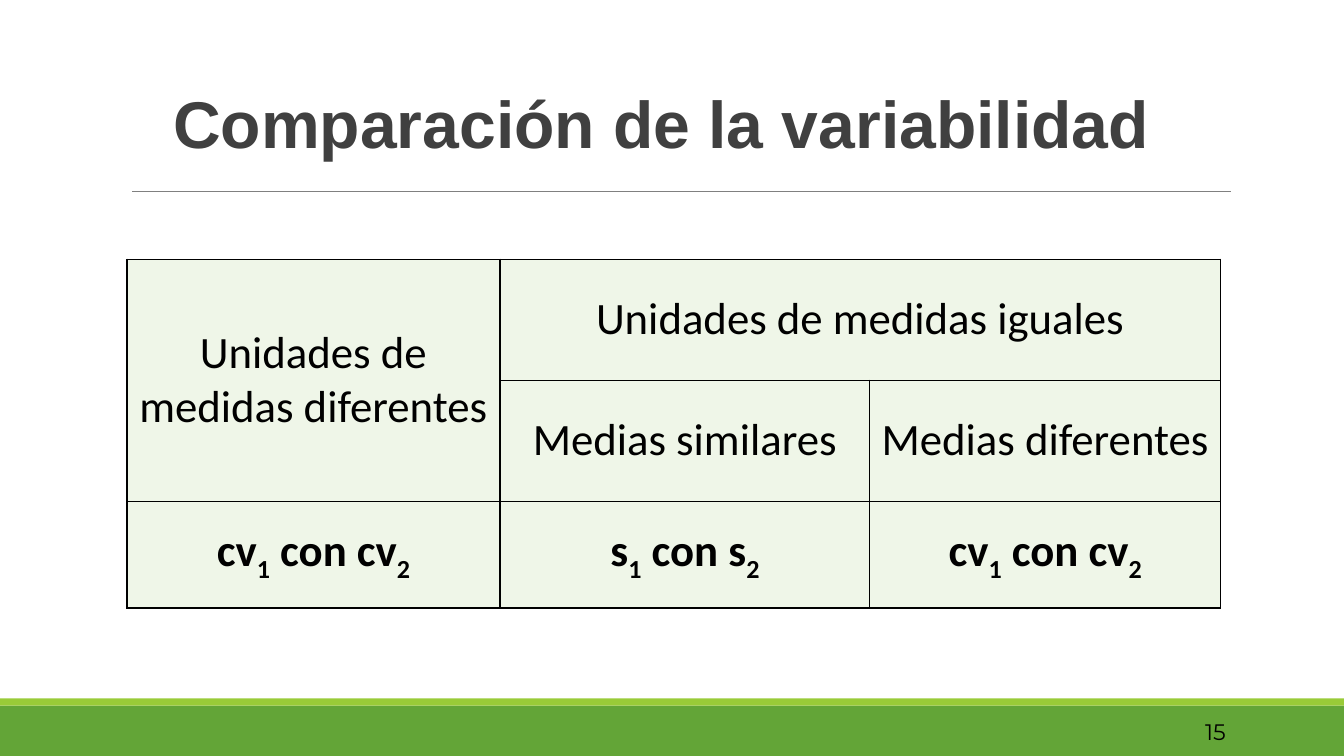
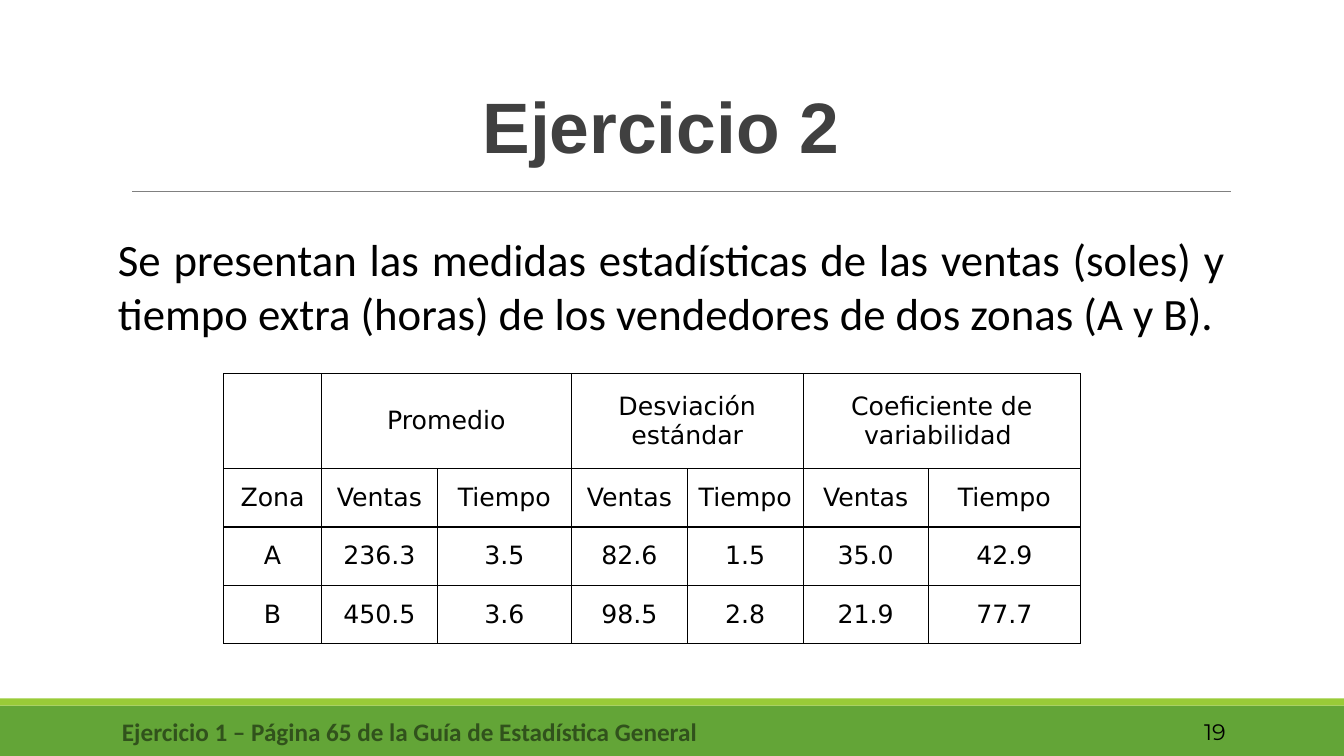
from lxml import etree
from pptx import Presentation
from pptx.dml.color import RGBColor
from pptx.enum.shapes import MSO_CONNECTOR, MSO_SHAPE
from pptx.enum.text import MSO_ANCHOR, PP_ALIGN
from pptx.oxml.ns import qn
from pptx.util import Cm, Pt

RECTANGLE, STRAIGHT = MSO_SHAPE.RECTANGLE, MSO_CONNECTOR.STRAIGHT
LEFT, CENTER, RIGHT, JUSTIFY = PP_ALIGN.LEFT, PP_ALIGN.CENTER, PP_ALIGN.RIGHT, PP_ALIGN.JUSTIFY
TOP, MIDDLE = MSO_ANCHOR.TOP, MSO_ANCHOR.MIDDLE

WIDTH, HEIGHT = 33.87, 19.05
GREEN, LIME, PALE, DARK_GREEN = "63A537", "99CB38", "EFF6E8", "31521C"
BLACK, INK, GRAY = "000000", "404040", "808080"
HEADING_FONT, BODY_FONT, DATA_FONT, NUMBER_FONT = "Arial", "Calibri", "DejaVu Sans", "Montserrat"
BODY_LEFT = 2.72
FOOTER_TOP, FOOTER_HEIGHT = 17.93, 1.02


def rgb(color):
    return RGBColor.from_string(color)


def write(frame, text, *, size, font=BODY_FONT, color=BLACK, bold=False, align=LEFT):
    """Fill a text frame; the character after each underscore is a subscript."""
    paragraph = frame.paragraphs[0]
    paragraph.alignment = align
    first, *rest = text.split("_")
    pieces = [(first, False)]
    for part in rest:
        pieces += [(part[0], True), (part[1:], False)]
    for piece, subscript in pieces:
        if not piece:
            continue
        run = paragraph.add_run()
        run.text = piece
        run.font.size, run.font.name, run.font.bold = Pt(size), font, bold
        run.font.color.rgb = rgb(color)
        if subscript:
            run.font._element.set("baseline", "-25000")
    return paragraph


def add_text(slide, box, text, *, anchor=TOP, **style):
    frame = slide.shapes.add_textbox(*map(Cm, box)).text_frame
    frame.word_wrap = True
    frame.vertical_anchor = anchor
    return frame, write(frame, text, **style)


def add_band(slide, top, height, color):
    band = slide.shapes.add_shape(RECTANGLE, 0, Cm(top), Cm(WIDTH), Cm(height))
    band.shadow.inherit = False
    band.fill.solid()
    band.fill.fore_color.rgb = rgb(color)
    band.line.fill.background()


def add_rule(slide, left, right, y):
    rule = slide.shapes.add_connector(STRAIGHT, Cm(left), Cm(y), Cm(right), Cm(y))
    rule.line.color.rgb = rgb(GRAY)
    rule.line.width = Pt(0.5)
    etree.SubElement(rule._element.spPr, qn("a:effectLst"))


def add_title(slide, text, size):
    frame, paragraph = add_text(slide, (3.58, 2.18, 25.76, 2.26), text, size=size,
                                font=HEADING_FONT, color=INK, bold=True, align=CENTER)
    frame.margin_left, frame.margin_right = Cm(0.4), 0
    paragraph.line_spacing = 0.9
    paragraph.space_before, paragraph.space_after = Pt(12), Pt(2)


def add_slide(deck, title, title_size, number):
    """Add a slide with the shared bands, rule, title and page number."""
    slide = deck.slides.add_slide(deck.slide_layouts[6])
    add_band(slide, 17.78, 1.27, GREEN)
    add_band(slide, 17.6, 0.18, LIME)
    add_rule(slide, 3.33, 31.01, 4.83)
    add_title(slide, title, title_size)
    add_text(slide, (27.51, FOOTER_TOP, 3.63, FOOTER_HEIGHT), str(number),
             size=16, font=NUMBER_FONT, align=RIGHT, anchor=MIDDLE)
    return slide


def add_borders(cell):
    properties = cell._tc.get_or_add_tcPr()
    for side in ("lnL", "lnR", "lnT", "lnB"):
        border = etree.SubElement(properties, qn(f"a:{side}"), w=str(Pt(1)))
        fill = etree.SubElement(border, qn("a:solidFill"))
        etree.SubElement(fill, qn("a:srgbClr"), val=BLACK)


def add_grid(slide, left, top, widths, heights, rows, *, merges, fill=None,
             margins=None, bold_rows=(), **style):
    """Add a bordered table; merges pairs the first and last cell of each span."""
    table = slide.shapes.add_table(len(heights), len(widths), Cm(left), Cm(top),
                                   Cm(sum(widths)), Cm(sum(heights))).table
    table.first_row = table.horz_banding = False
    for column, width in zip(table.columns, widths):
        column.width = Cm(width)
    for row, height in zip(table.rows, heights):
        row.height = Cm(height)
    for r, row in enumerate(rows):
        for c, text in enumerate(row):
            cell = table.cell(r, c)
            cell.vertical_anchor = MIDDLE
            if margins:
                cell.margin_left = cell.margin_right = Cm(margins[0])
                cell.margin_top = cell.margin_bottom = Cm(margins[1])
            add_borders(cell)
            if fill:
                cell.fill.solid()
                cell.fill.fore_color.rgb = rgb(fill)
            else:
                cell.fill.background()
            write(cell.text_frame, text, align=CENTER, bold=r in bold_rows, **style)
    for first, last in merges:
        table.cell(*first).merge(table.cell(*last))


def build_comparison(deck):
    slide = add_slide(deck, "Comparación de la variabilidad", 47.2, 15)
    rows = [
        ("Unidades de medidas diferentes", "Unidades de medidas iguales", ""),
        ("", "Medias similares", "Medias diferentes"),
        ("cv_1 con cv_2", "s_1 con s_2", "cv_1 con cv_2"),
    ]
    add_grid(slide, 3.2, 6.53, (9.4, 9.32, 8.84), (3.05, 3.05, 2.69), rows,
             merges=[((0, 0), (1, 0)), ((0, 1), (0, 2))],
             fill=PALE, margins=(0.13, 0), bold_rows=(2,), size=32)


def build_exercise(deck):
    slide = add_slide(deck, "Ejercicio 2", 51, 19)
    add_text(slide, (BODY_LEFT, 5.72, 28.42, 3),
             "Se presentan las medidas estadísticas de las ventas (soles) y tiempo extra "
             "(horas) de los vendedores de dos zonas (A y B).", size=32, align=JUSTIFY)
    rows = [
        ("", "Promedio", "", "Desviación estándar", "", "Coeficiente de variabilidad ", ""),
        ("Zona", *("Ventas", "Tiempo") * 3),
        ("A", "236.3", "3.5", "82.6", "1.5", "35.0", "42.9"),
        ("B", "450.5", "3.6", "98.5", "2.8", "21.9", "77.7"),
    ]
    add_grid(slide, 5.64, 9.42, (2.46, 2.92, 3.38, 2.92, 2.92, 3.15, 3.84),
             (2.39, 1.47, 1.47, 1.47), rows,
             merges=[((0, c), (0, c + 1)) for c in (1, 3, 5)], size=18, font=DATA_FONT)
    add_text(slide, (BODY_LEFT, FOOTER_TOP, 15.21, FOOTER_HEIGHT),
             "Ejercicio 1 – Página 65 de la Guía de Estadística General",
             size=18, color=DARK_GREEN, bold=True, align=CENTER, anchor=MIDDLE)


def main():
    deck = Presentation()
    deck.slide_width, deck.slide_height = Cm(WIDTH), Cm(HEIGHT)
    build_comparison(deck)
    build_exercise(deck)
    deck.save("out.pptx")


if __name__ == "__main__":
    main()
